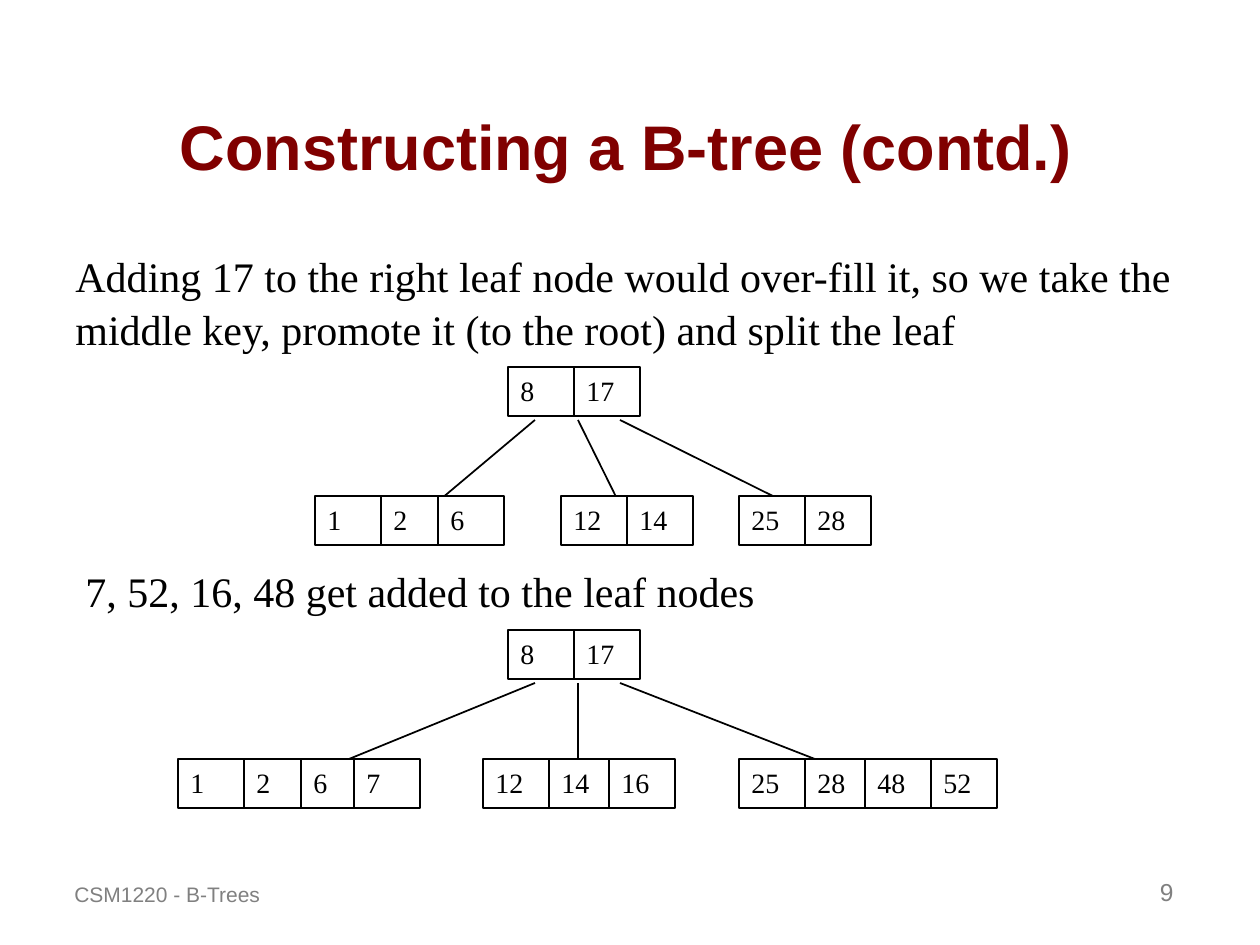
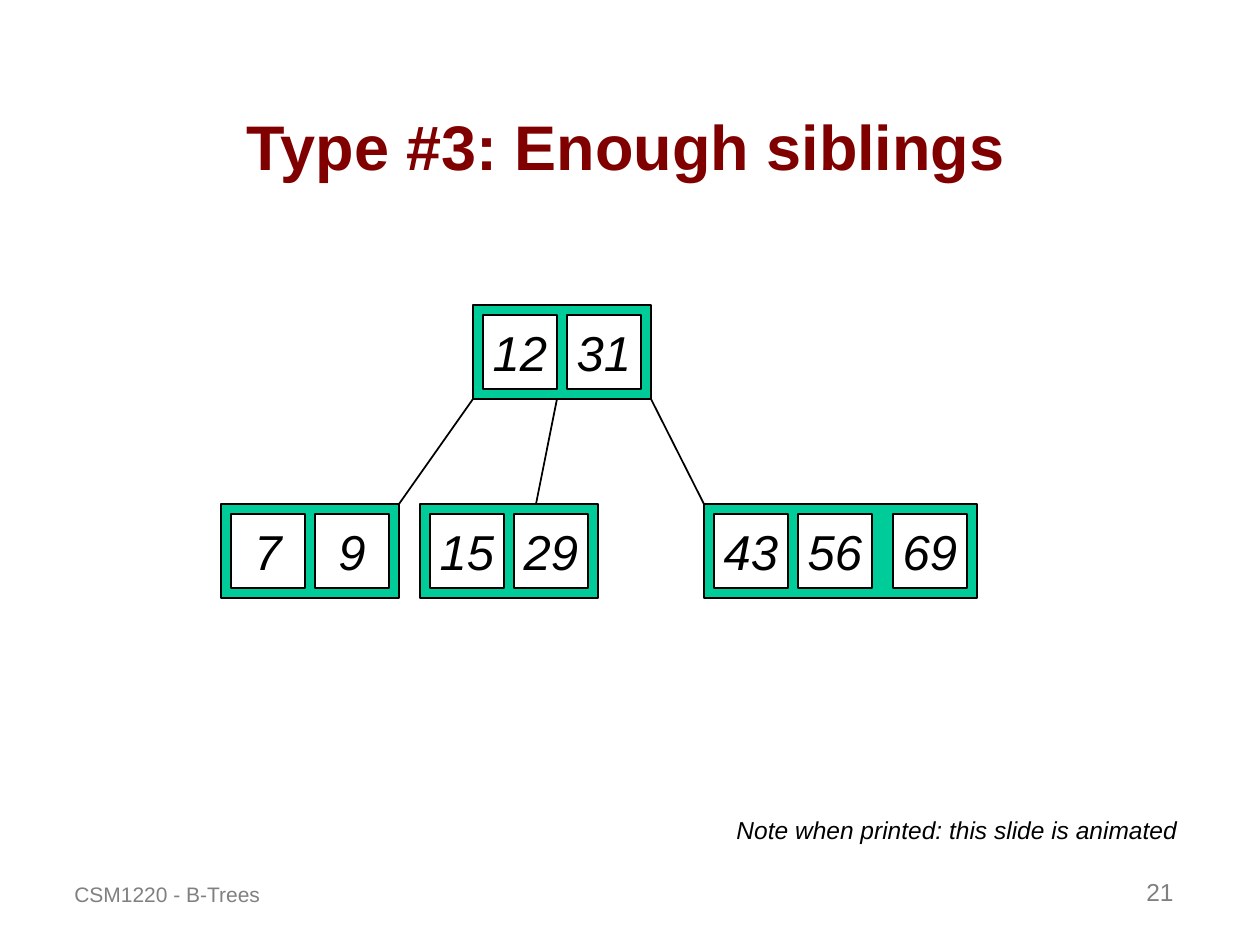
from dataclasses import dataclass

from lxml.etree import SubElement
from pptx import Presentation
from pptx.dml.color import RGBColor
from pptx.enum.shapes import MSO_CONNECTOR, MSO_SHAPE
from pptx.enum.text import MSO_ANCHOR as Anchor, MSO_AUTO_SIZE, PP_ALIGN as Align
from pptx.oxml.ns import qn
from pptx.util import Inches, Pt

PX = Inches(1) / 126


@dataclass(frozen=True)
class Theme:
    sans: str = "Arial"
    serif: str = "Times New Roman"
    ink: str = "000000"
    paper: str = "FFFFFF"
    title: str = "800000"
    footer: str = "808080"
    node: str = "00CC99"
    title_size: int = 36
    key_size: int = 28
    body_size: int = 24
    cell_size: int = 16
    note_size: int = 14
    footer_size: int = 12


THEME = Theme()
CELL_WIDTH, CELL_HEIGHT = 66, 49
KEY_SIDE, KEY_MARGIN = 74, 10
NODE_HEIGHT = KEY_SIDE + 2 * KEY_MARGIN


def px(*lengths):
    return [round(length * PX) for length in lengths]


def write(holder, text, *, size, font=THEME.sans, color=THEME.ink, bold=False,
          italic=False, align=Align.LEFT, anchor=Anchor.TOP, wrap=True,
          before=0, spacing=None):
    frame = holder.text_frame
    frame.auto_size = MSO_AUTO_SIZE.NONE
    frame.word_wrap = wrap
    frame.vertical_anchor = anchor
    paragraph = frame.paragraphs[0]
    paragraph.alignment = align
    paragraph.space_before = Pt(before)
    paragraph.line_spacing = spacing
    run = paragraph.add_run()
    run.text = text
    run.font.name = font
    run.font.size = Pt(size)
    run.font.bold = bold
    run.font.italic = italic
    run.font.color.rgb = RGBColor.from_string(color)


def add_text(slide, box, text, **style):
    write(slide.shapes.add_textbox(*px(*box)), text, **style)


def add_box(slide, box, fill, line_width):
    rect = slide.shapes.add_shape(MSO_SHAPE.RECTANGLE, *px(*box))
    rect.shadow.inherit = False
    rect.fill.solid()
    rect.fill.fore_color.rgb = RGBColor.from_string(fill)
    rect.line.color.rgb = RGBColor.from_string(THEME.ink)
    rect.line.width = Pt(line_width)
    return rect


def add_branch(slide, start, end):
    branch = slide.shapes.add_connector(MSO_CONNECTOR.STRAIGHT, *px(*start, *end))
    branch.line.color.rgb = RGBColor.from_string(THEME.ink)
    branch.line.width = Pt(1)
    SubElement(branch._element.spPr, qn("a:effectLst"))


def add_cells(slide, top, cells):
    """Draw plain key cells, given as key: left; later cells overlap earlier ones."""
    for key, left in cells.items():
        cell = add_box(slide, (left, top, CELL_WIDTH, CELL_HEIGHT), THEME.paper, 0.75)
        write(cell, str(key), size=THEME.cell_size, font=THEME.serif)


def add_leaf_tree(slide, top, leaves, branch_ends):
    """Draw the root 8 | 17 at top, three branches and the leaf cells below."""
    for start_x, (end_x, drop) in zip((535, 578, 620), branch_ends):
        add_branch(slide, (start_x, top + 53), (end_x, top + drop))
    add_cells(slide, top, {8: 508, 17: 574})
    add_cells(slide, top + 129, leaves)


def add_node(slide, left, top, keys, width=178):
    """Draw a coloured node; its last key sits against the right margin."""
    add_box(slide, (left, top, width, NODE_HEIGHT), THEME.node, 1)
    pitch = KEY_SIDE + KEY_MARGIN
    key_lefts = [left + KEY_MARGIN + i * pitch for i in range(len(keys) - 1)]
    key_lefts.append(left + width - pitch)
    for key, key_left in zip(keys, key_lefts):
        box = add_box(slide, (key_left, top + KEY_MARGIN, KEY_SIDE, KEY_SIDE),
                      THEME.paper, 1)
        write(box, str(key), size=THEME.key_size, italic=True, align=Align.CENTER,
              anchor=Anchor.MIDDLE, wrap=False)


def add_titled_slide(deck, title, number):
    slide = deck.slides.add_slide(deck.slide_layouts.get_by_name("Title Only"))
    heading = slide.shapes.title
    heading.left, heading.top, heading.width, heading.height = px(55, 31, 1142, 158)
    write(heading, title, size=THEME.title_size, color=THEME.title, bold=True,
          align=Align.CENTER, anchor=Anchor.BOTTOM)
    add_text(slide, (62, 850, 378, 63), "CSM1220 - B-Trees", size=THEME.footer_size,
             color=THEME.footer, anchor=Anchor.BOTTOM, before=7.5)
    add_text(slide, (924, 850, 262, 63), str(number), size=THEME.note_size,
             color=THEME.footer, align=Align.RIGHT, anchor=Anchor.BOTTOM, before=8.8)
    return slide


def build_construction(deck):
    slide = add_titled_slide(deck, "Constructing a B-tree (contd.)", 9)
    body = dict(size=THEME.body_size, font=THEME.serif, before=15, spacing=1.05)
    add_text(slide, (63, 242, 1155, 113),
             "Adding 17 to the right leaf node would over-fill it, so we take the "
             "middle key, promote it (to the root) and split the leaf", **body)
    add_leaf_tree(slide, 367,
                  {1: 315, 2: 381, 6: 438, 12: 561, 14: 627, 25: 739, 28: 805},
                  [(410, 158), (630, 158), (809, 147)])
    add_text(slide, (73, 557, 1134, 63),
             "7, 52, 16, 48 get added to the leaf nodes", **body)
    add_leaf_tree(slide, 630,
                  {1: 178, 2: 244, 6: 301, 7: 354, 12: 483, 14: 549, 16: 609,
                   25: 739, 28: 805, 48: 865, 52: 931},
                  [(305, 147), (578, 158), (861, 147)])


def build_siblings(deck):
    slide = add_titled_slide(deck, "Type #3: Enough siblings", 21)
    root_top, leaf_top = 305, 504
    add_node(slide, 473, root_top, (12, 31))
    add_node(slide, 221, leaf_top, (7, 9))
    add_node(slide, 420, leaf_top, (15, 29))
    add_node(slide, 704, leaf_top, (43, 56, 69), width=273)
    for start_x, end_x in ((473, 399), (557, 536), (651, 704)):
        add_branch(slide, (start_x, root_top + NODE_HEIGHT), (end_x, leaf_top))
    add_text(slide, (724, 808, 466, 43), "Note when printed: this slide is animated",
             size=THEME.note_size, italic=True, align=Align.CENTER,
             anchor=Anchor.MIDDLE, wrap=False)


def main():
    deck = Presentation()
    deck.slide_width, deck.slide_height = px(1260, 945)
    build_construction(deck)
    build_siblings(deck)
    deck.save("out.pptx")


if __name__ == "__main__":
    main()
